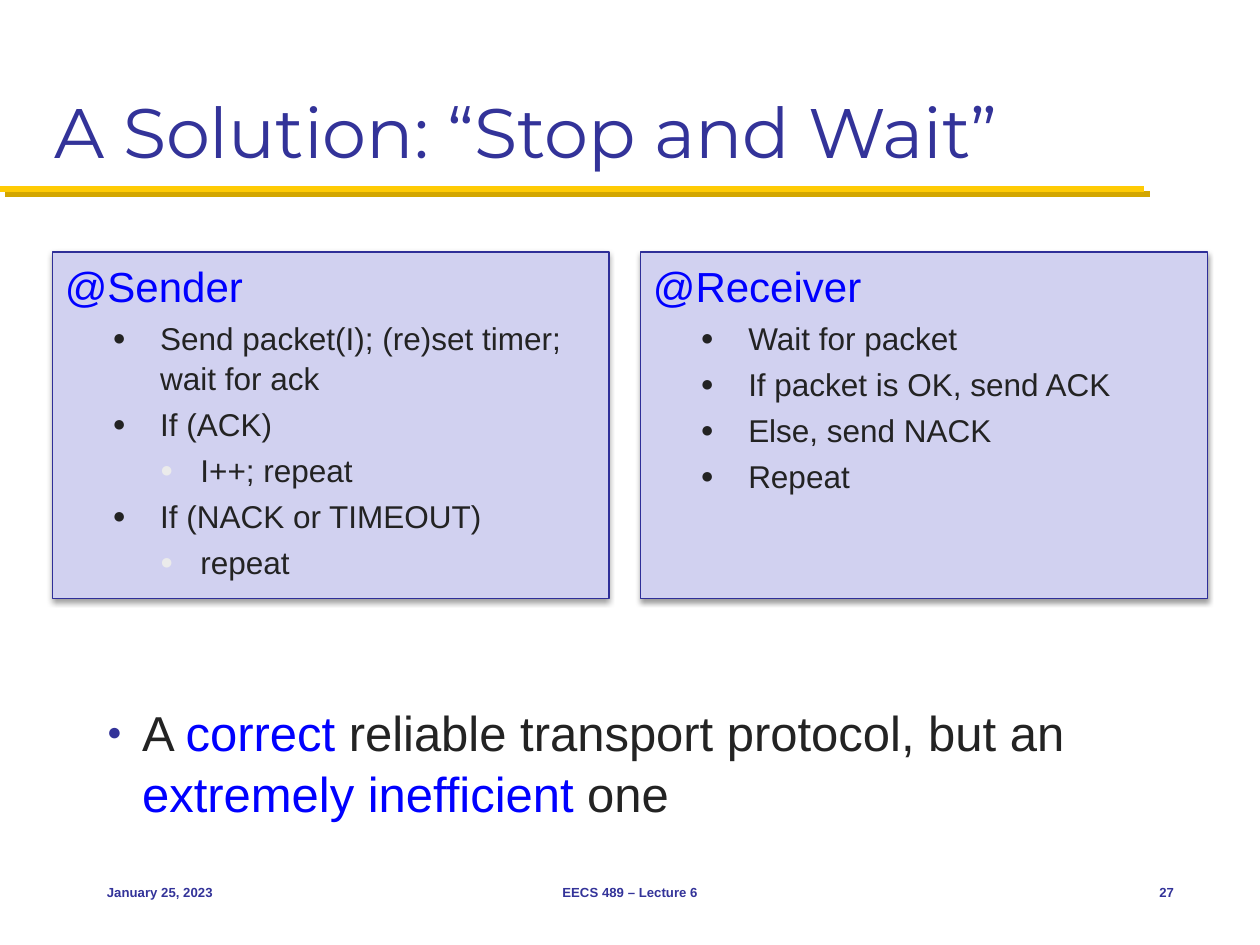
from dataclasses import dataclass

from lxml import etree
from pptx import Presentation
from pptx.dml.color import RGBColor
from pptx.enum.shapes import MSO_CONNECTOR, MSO_SHAPE
from pptx.enum.text import MSO_ANCHOR, MSO_AUTO_SIZE, PP_ALIGN
from pptx.oxml.ns import qn
from pptx.util import Pt

LINE = MSO_CONNECTOR.STRAIGHT
RECT = MSO_SHAPE.RECTANGLE
TOP, MIDDLE, BOTTOM = MSO_ANCHOR.TOP, MSO_ANCHOR.MIDDLE, MSO_ANCHOR.BOTTOM
FIXED = MSO_AUTO_SIZE.NONE
LEFT, CENTER, RIGHT = PP_ALIGN.LEFT, PP_ALIGN.CENTER, PP_ALIGN.RIGHT


@dataclass(frozen=True)
class Theme:
    """Colours, fonts and type sizes."""
    navy: str = "333399"
    ink: str = "232323"
    blue: str = "0000FF"
    pale: str = "EBEBEB"
    fill: str = "D1D1F0"
    edge: str = "2F2F98"
    gold: str = "FFCB05"
    shade: str = "D3A600"
    black: str = "000000"
    head: str = "Montserrat"
    text: str = "Arial"
    title: float = 40
    body: float = 28
    label: float = 24
    item: float = 18
    foot: float = 7.5
    lead: float = 1.05


class Deck:
    """Holds the style and the current slide."""

    def __init__(self, theme):
        """Open a deck with one title-and-body slide."""
        self.theme = theme
        self.file = Presentation()
        self.file.slide_width, self.file.slide_height = Pt(720), Pt(540)
        self.slide = self.file.slides.add_slide(self.file.slide_layouts[1])

    def place(self, shape, area):
        """Move a shape to its area."""
        shape.left, shape.top, shape.width, shape.height = map(Pt, area)

    def frame(self, shape, anchor):
        """Return the shape's text frame, set to wrap at a fixed size."""
        frame = shape.text_frame
        frame.word_wrap = True
        frame.auto_size = FIXED
        frame.vertical_anchor = anchor
        return frame

    def style(self, run, size, color, name=None, bold=False):
        """Format one run."""
        font = run.font
        font.size, font.bold, font.name = Pt(size), bold, name or self.theme.text
        font.color.rgb = RGBColor.from_string(color)

    def shadow(self, shape, color, alpha, blur, dist, angle):
        """Give a shape an outer shadow."""
        props = shape._element.spPr
        for old in props.findall(qn("a:effectLst")):
            props.remove(old)
        effects = etree.SubElement(props, qn("a:effectLst"))
        outer = etree.SubElement(
            effects, qn("a:outerShdw"), blurRad=str(Pt(blur)), dist=str(Pt(dist)),
            dir=str(angle * 60000), algn="tl", rotWithShape="0")
        tint = etree.SubElement(outer, qn("a:srgbClr"), val=color)
        etree.SubElement(tint, qn("a:alpha"), val=str(alpha * 1000))

    def space(self, para):
        """Set line spacing and a fifth of a line before the paragraph."""
        para.alignment = LEFT
        para.line_spacing = self.theme.lead
        before = etree.SubElement(para._p.get_or_add_pPr(), qn("a:spcBef"))
        etree.SubElement(before, qn("a:spcPct"), val="20000")

    def bullet(self, para, left, hang, color, size):
        """Add a round bullet with a hanging indent."""
        props = para._p.get_or_add_pPr()
        props.set("marL", str(Pt(left)))
        props.set("indent", str(-Pt(hang)))
        tint = etree.SubElement(props, qn("a:buClr"))
        etree.SubElement(tint, qn("a:srgbClr"), val=color)
        etree.SubElement(props, qn("a:buSzPct"), val=str(size * 1000))
        etree.SubElement(props, qn("a:buFont"), typeface=self.theme.text)
        etree.SubElement(props, qn("a:buChar"), char="●")

    def title(self, text, area):
        """Fill the title placeholder."""
        shape = self.slide.shapes.title
        self.place(shape, area)
        frame = self.frame(shape, BOTTOM)
        frame.text = text
        para = frame.paragraphs[0]
        para.alignment = LEFT
        self.style(para.runs[0], self.theme.title, self.theme.navy, self.theme.head)

    def body(self, parts, area):
        """Fill the body placeholder with one bullet of coloured parts."""
        shape = self.slide.placeholders[1]
        self.place(shape, area)
        para = self.frame(shape, TOP).paragraphs[0]
        self.space(para)
        self.bullet(para, 20, 20, self.theme.navy, 50)
        for text, color in parts:
            run = para.add_run()
            run.text = text
            self.style(run, self.theme.body, color)

    def rule(self, start, end, y):
        """Draw the gold rule under the title."""
        line = self.slide.shapes.add_connector(LINE, Pt(start), Pt(y), Pt(end), Pt(y))
        line.line.width = Pt(3.5)
        line.line.color.rgb = RGBColor.from_string(self.theme.gold)
        self.shadow(line, self.theme.shade, 100, 0, 4.2, 45)

    def panel(self, label, items, area):
        """Draw a box with a label and a list of (level, text) items."""
        theme = self.theme
        shape = self.slide.shapes.add_shape(RECT, *map(Pt, area))
        shape.shadow.inherit = False
        shape.fill.solid()
        shape.fill.fore_color.rgb = RGBColor.from_string(theme.fill)
        shape.line.color.rgb = RGBColor.from_string(theme.edge)
        shape.line.width = Pt(0.75)
        self.shadow(shape, theme.black, 38, 3.1, 1.6, 90)
        frame = self.frame(shape, TOP)
        frame.text = "\n".join([label] + [text for _, text in items])
        first, *rest = frame.paragraphs
        self.space(first)
        self.style(first.runs[0], theme.label, theme.blue)
        marks = {1: (54.5, 27.25, theme.ink), 2: (77.5, 23, theme.pale)}
        for para, (level, _) in zip(rest, items):
            para.level = level
            self.space(para)
            self.bullet(para, *marks[level], 70)
            self.style(para.runs[0], theme.item, theme.ink)

    def foot(self, text, left, width, align):
        """Add one footer text."""
        shape = self.slide.shapes.add_textbox(Pt(left), Pt(492), Pt(width), Pt(36))
        frame = self.frame(shape, MIDDLE)
        frame.text = text
        para = frame.paragraphs[0]
        para.alignment = align
        self.style(para.runs[0], self.theme.foot, self.theme.navy, bold=True)


def main():
    """Build the slide and save it."""
    theme = Theme()
    deck = Deck(theme)
    deck.rule(0, 654, 108)
    deck.title("A Solution: “Stop and Wait”", (24, 12, 672, 90))
    deck.body([
        ("A ", theme.ink),
        ("correct", theme.blue),
        (" reliable transport protocol, but an ", theme.ink),
        ("extremely inefficient ", theme.blue),
        ("one", theme.ink),
    ], (54, 396, 636, 78))
    deck.panel("@Sender", [
        (1, "Send packet(I); (re)set timer; wait for ack"),
        (1, "If (ACK)"),
        (2, "I++; repeat"),
        (1, "If (NACK or TIMEOUT)"),
        (2, "repeat"),
    ], (30, 144, 318, 198))
    deck.panel("@Receiver", [
        (1, "Wait for packet"),
        (1, "If packet is OK, send ACK"),
        (1, "Else, send NACK"),
        (1, "Repeat"),
    ], (366, 144, 324, 198))
    deck.foot("January 25, 2023", 54, 150, LEFT)
    deck.foot("EECS 489 – Lecture 6", 246, 228, CENTER)
    deck.foot("27", 630, 48, RIGHT)
    deck.file.save("out.pptx")


if __name__ == "__main__":
    main()
